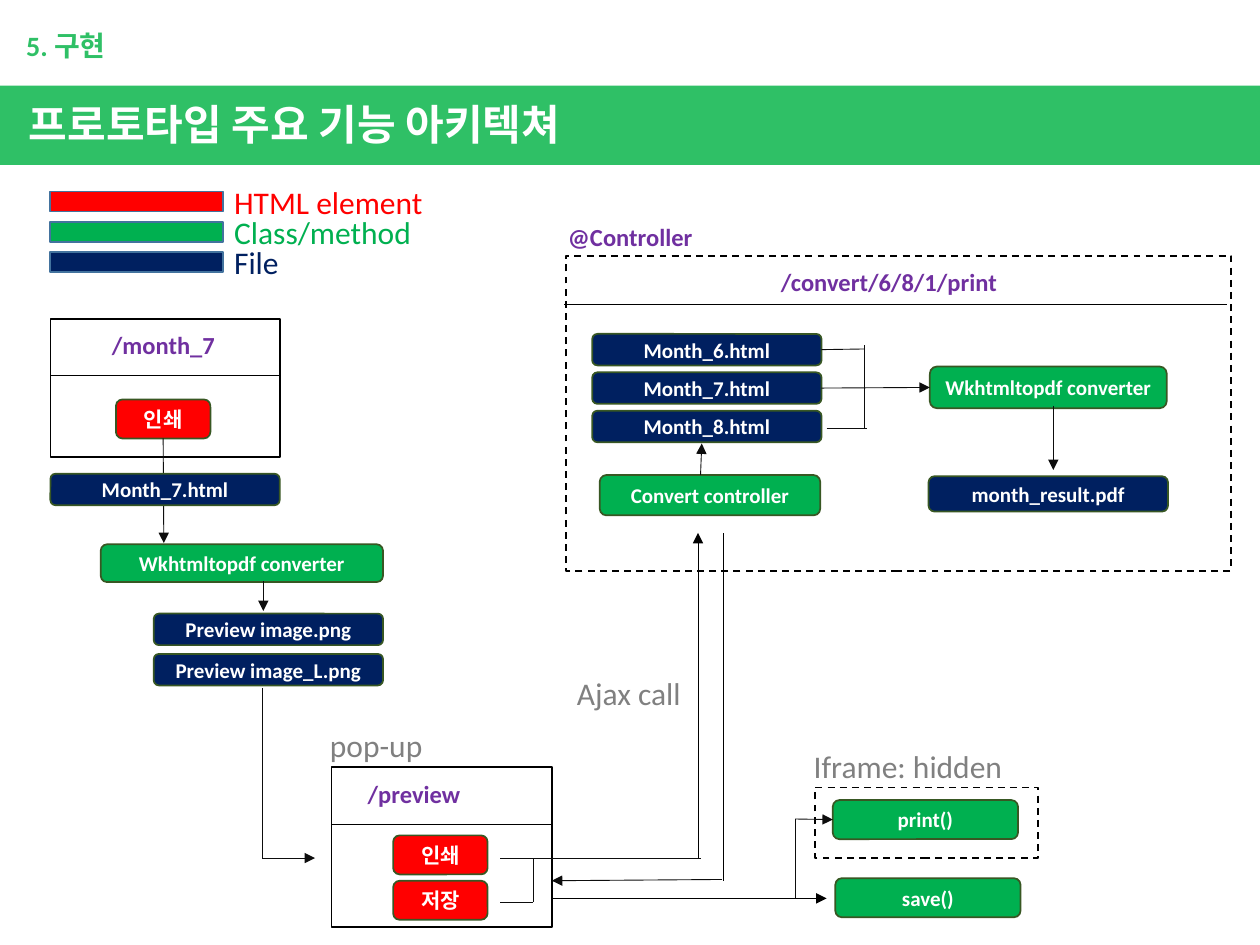
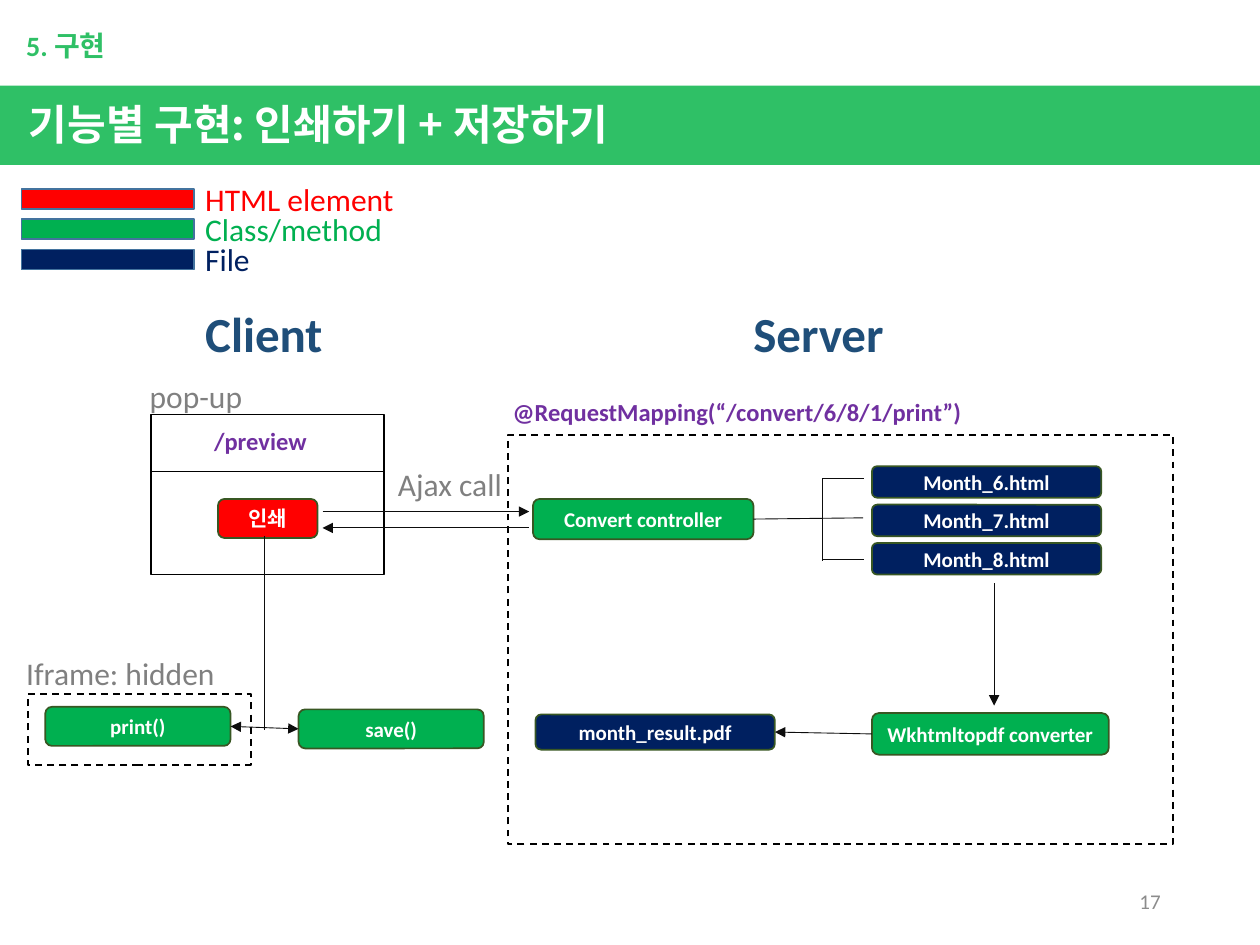
"""Build two architecture slides for the print and save features."""
import pptx
import pptx.util
import pptx.dml.color
import pptx.enum.dml
import pptx.enum.shapes
import pptx.enum.text
import pptx.oxml.ns
from lxml import etree

Inches = pptx.util.Inches
Pt = pptx.util.Pt
RGBColor = pptx.dml.color.RGBColor
MSO_SHAPE = pptx.enum.shapes.MSO_SHAPE
PP_ALIGN = pptx.enum.text.PP_ALIGN
MSO_ANCHOR = pptx.enum.text.MSO_ANCHOR
MSO_AUTO_SIZE = pptx.enum.text.MSO_AUTO_SIZE
qn = pptx.oxml.ns.qn

BRAND = RGBColor(0x2F, 0xC0, 0x66)
WHITE = RGBColor(0xFF, 0xFF, 0xFF)
BLACK = RGBColor(0, 0, 0)
INK = RGBColor(0x0D, 0x0D, 0x0D)
ELEMENT = RGBColor(0xFF, 0, 0)
METHOD = RGBColor(0, 0xB0, 0x50)
FILE = RGBColor(0, 0x20, 0x60)
NODE_EDGE = RGBColor(0x38, 0x57, 0x23)
LEGEND_EDGE = RGBColor(0x43, 0x73, 0x9E)
PURPLE = RGBColor(0x70, 0x30, 0xA0)
GRAY = RGBColor(0x80, 0x80, 0x80)
PAGE_GRAY = RGBColor(0x8C, 0x8C, 0x8C)
HEADING = RGBColor(0x1F, 0x4E, 0x79)

FONT = "Calibri"
TITLE_FONT = "Noto Sans CJK KR"
LEGEND = [("HTML element", ELEMENT, 1.72), ("Class/method", METHOD, 1.62),
          ("File", FILE, 0.57)]
MONTHS = ["Month_6.html", "Month_7.html", "Month_8.html"]
FILE_W, FILE_H = 1.82, 0.25


def write(tf, text, size, color, bold=False, align=PP_ALIGN.LEFT, name=FONT):
    """Put one formatted paragraph in a text frame."""
    p = tf.paragraphs[0]
    p.text = text
    p.alignment = align
    p.font.name = name
    p.font.size = Pt(size)
    p.font.bold = bold
    p.font.color.rgb = color


def label(s, text, x, y, w, h, size, color, bold=False, wrap=False):
    """Add a text box that fits its text."""
    tf = s.shapes.add_textbox(Inches(x), Inches(y), Inches(w), Inches(h)).text_frame
    tf.word_wrap = wrap
    tf.auto_size = MSO_AUTO_SIZE.SHAPE_TO_FIT_TEXT
    write(tf, text, size, color, bold)


def route(s, text, x, y, w, wrap=False):
    """Add a purple route name."""
    label(s, text, x, y, w, 0.34, 14, PURPLE, True, wrap)


def note(s, text, x, y, w):
    """Add a gray annotation."""
    label(s, text, x, y, w, 0.4, 18, GRAY)


def box(s, x, y, w, h, fill=WHITE, edge=BLACK, kind=MSO_SHAPE.RECTANGLE, dashed=False):
    """Add a filled shape, without an outline if edge is None."""
    sp = s.shapes.add_shape(kind, Inches(x), Inches(y), Inches(w), Inches(h))
    sp.shadow.inherit = False
    sp.fill.solid()
    sp.fill.fore_color.rgb = fill
    if edge is None:
        sp.line.fill.background()
        return sp
    sp.line.color.rgb = edge
    sp.line.width = Pt(1)
    if dashed:
        sp.line.dash_style = pptx.enum.dml.MSO_LINE.DASH
    return sp


def node(s, text, x, y, w, h, fill):
    """Add a rounded diagram node."""
    sp = box(s, x, y, w, h, fill, NODE_EDGE, MSO_SHAPE.ROUNDED_RECTANGLE)
    write(sp.text_frame, text, 12, WHITE, True, PP_ALIGN.CENTER)
    return sp


def file_node(s, text, x, y):
    """Add a node for an HTML or image file."""
    return node(s, text, x, y, FILE_W, FILE_H, FILE)


def month_files(s, x, y):
    """Stack the three month files and return their nodes."""
    return [file_node(s, name, x, y + 0.305 * i) for i, name in enumerate(MONTHS)]


def line(s, x1, y1, x2, y2, color=INK, head=False, tail=False, begin=None, end=None):
    """Add a straight line with optional arrowheads and joined ends."""
    c = s.shapes.add_connector(pptx.enum.shapes.MSO_CONNECTOR.STRAIGHT,
                               Inches(x1), Inches(y1), Inches(x2), Inches(y2))
    c.line.color.rgb = color
    c.line.width = Pt(0.5)
    ln = c.line._get_or_add_ln()
    for tag, wanted in (("a:headEnd", head), ("a:tailEnd", tail)):
        if wanted:
            etree.SubElement(ln, qn(tag), type="triangle")
    etree.SubElement(c.element.spPr, qn("a:effectLst"))
    if begin:
        c.begin_connect(*begin)
    if end:
        c.end_connect(*end)


def window(s, name, x, y, w, h, divider, name_x, name_w):
    """Add a page window with its route above a divider."""
    box(s, x, y, w, h)
    line(s, x, y + divider, x + w, y + divider, BLACK)
    route(s, name, name_x, y + 0.04, name_w)


def iframe(s, x, y):
    """Add the hidden iframe and return its print node."""
    box(s, x, y, 1.77, 0.56, dashed=True)
    note(s, "Iframe: hidden", x - 0.11, y - 0.37, 1.72)
    return node(s, "print()", x + 0.14, y + 0.1, 1.47, 0.31, METHOD)


def legend(s, x, y):
    """Add the colour key as a group."""
    g = s.shapes.add_group_shape()
    for i, (text, color, w) in enumerate(LEGEND):
        row = y + 0.24 * i
        box(g, x, row, 1.37, 0.16, color, LEGEND_EDGE)
        label(g, text, x + 1.36, row - 0.12, w, 0.4, 18, color)


def base_slide(prs, title):
    """Add a slide with the title band and section name."""
    s = prs.slides.add_slide(prs.slide_layouts[5])
    band = box(s, 0, 0.68, 10, 0.63, BRAND, None)
    sp = s.shapes.title
    band.element.addnext(sp.element)
    sp.left, sp.top, sp.width, sp.height = [Inches(v) for v in (0.13, 0.73, 7.22, 0.5)]
    tf = sp.text_frame
    tf.vertical_anchor = MSO_ANCHOR.TOP
    tf.auto_size = MSO_AUTO_SIZE.NONE
    write(tf, title, 24, WHITE, True, name=TITLE_FONT)
    label(s, "5. 구현", 0.11, 0.18, 7.22, 0.37, 16, BRAND, True, True)
    return s


def preview_flow(s):
    """Draw the path from the month page to its preview images."""
    window(s, "/month_7", 0.4, 2.53, 1.82, 1.1, 0.45, 0.79, 1.03)
    button = node(s, "인쇄", 0.92, 3.17, 0.75, 0.31, ELEMENT)
    line(s, 1.3, 3.48, 1.3, 4.31, tail=True, begin=(button, 2))
    file_node(s, "Month_7.html", 0.4, 3.76)
    node(s, "Wkhtmltopdf converter", 0.8, 4.32, 2.24, 0.3, METHOD)
    line(s, 2.09, 4.61, 2.09, 4.85, tail=True)
    file_node(s, "Preview image.png", 1.22, 4.87)
    file_node(s, "Preview image_L.png", 1.22, 5.19)
    line(s, 2.08, 5.46, 2.08, 6.81)
    line(s, 2.08, 6.81, 2.5, 6.81, tail=True)


def controller_flow(s):
    """Draw the controller that turns month files into a PDF."""
    route(s, "@Controller", 4.41, 1.71, 4.53, True)
    box(s, 4.49, 2.03, 5.28, 2.5, dashed=True)
    line(s, 4.48, 2.42, 9.74, 2.42, BLACK)
    route(s, "/convert/6/8/1/print", 6.1, 2.07, 1.93)
    months = month_files(s, 4.7, 2.65)
    converter = node(s, "Wkhtmltopdf converter", 7.38, 2.91, 1.88, 0.33, METHOD)
    node(s, "Convert controller", 4.76, 3.77, 1.75, 0.32, METHOD)
    node(s, "month_result.pdf", 7.37, 3.78, 1.9, 0.28, FILE)
    line(s, 6.52, 2.77, 6.86, 2.77, begin=(months[0], 3))
    line(s, 6.52, 3.08, 7.38, 3.08, tail=True, begin=(months[1], 3), end=(converter, 1))
    line(s, 6.56, 3.4, 6.88, 3.4)
    line(s, 6.86, 3.4, 6.86, 2.74)
    line(s, 5.56, 3.77, 5.57, 3.52, tail=True)
    line(s, 8.36, 3.22, 8.36, 3.73, tail=True)


def popup_flow(s):
    """Draw the preview pop-up with its Ajax call and results."""
    window(s, "/preview", 2.63, 6.09, 1.75, 1.27, 0.45, 2.82, 0.94)
    note(s, "pop-up", 2.52, 5.71, 0.95)
    for i, text in enumerate(["인쇄", "저장"]):
        node(s, text, 3.12, 6.63 + 0.36 * i, 0.75, 0.31, ELEMENT)
    line(s, 3.97, 7.16, 4.23, 7.16)
    line(s, 4.23, 7.16, 4.23, 6.81)
    note(s, "Ajax call", 4.48, 5.3, 1.03)
    line(s, 3.97, 6.81, 5.56, 6.81)
    line(s, 5.54, 6.81, 5.54, 4.23, BLACK, tail=True)
    line(s, 5.74, 6.99, 5.74, 4.23, BLACK)
    line(s, 4.38, 6.99, 5.73, 6.98, head=True)
    printer = iframe(s, 6.47, 6.25)
    node(s, "save()", 6.63, 6.97, 1.47, 0.31, METHOD)
    line(s, 4.38, 7.13, 6.56, 7.13, BLACK, tail=True)
    line(s, 6.31, 7.13, 6.31, 6.5)
    line(s, 6.31, 6.5, 6.62, 6.5, tail=True, end=(printer, 1))


def client_side(s):
    """Draw the pop-up, the hidden iframe and the save node."""
    label(s, "Client", 1.53, 2.36, 1.45, 0.57, 28, HEADING, True, True)
    g = s.shapes.add_group_shape()
    window(g, "/preview", 1.2, 3.29, 1.85, 1.27, 0.45, 1.6, 0.99)
    note(g, "pop-up", 1.09, 2.94, 1)
    node(g, "인쇄", 1.73, 3.96, 0.79, 0.31, ELEMENT)
    printer = iframe(s.shapes.add_group_shape(), 0.22, 5.51)
    save = node(s, "save()", 2.37, 5.63, 1.47, 0.31, METHOD)
    line(s, 2.1, 5.79, 2.1, 4.25)
    line(s, 1.82, 5.79, 2.37, 5.79, head=True, tail=True, begin=(printer, 3), end=(save, 1))


def server_side(s):
    """Draw the request mapping from the controller to the PDF."""
    label(s, "Server", 5.88, 2.36, 1.45, 0.57, 28, HEADING, True, True)
    route(s, "@RequestMapping(“/convert/6/8/1/print”)", 3.97, 3.1, 4.53, True)
    box(s, 4.03, 3.45, 5.28, 3.25, dashed=True)
    controller = node(s, "Convert controller", 4.23, 3.96, 1.75, 0.32, METHOD)
    month_files(s.shapes.add_group_shape(), 6.92, 3.7)
    pdf = node(s, "month_result.pdf", 4.25, 5.67, 1.9, 0.28, FILE)
    converter = node(s, "Wkhtmltopdf converter", 6.92, 5.66, 1.88, 0.33, METHOD)
    line(s, 5.98, 4.12, 6.85, 4.11, begin=(controller, 3))
    line(s, 6.53, 4.45, 6.53, 3.79)
    for y in (3.8, 4.44):
        line(s, 6.53, y, 6.86, y)
    line(s, 7.89, 4.63, 7.89, 5.6, tail=True)
    line(s, 6.92, 5.82, 6.15, 5.81, tail=True, begin=(converter, 1), end=(pdf, 3))


def page_number(s, text):
    """Add the page number at the lower right."""
    tf = s.shapes.add_textbox(Inches(7.06), Inches(6.95), Inches(2.25), Inches(0.4)).text_frame
    tf.word_wrap = True
    tf.vertical_anchor = MSO_ANCHOR.MIDDLE
    write(tf, text, 12, PAGE_GRAY, align=PP_ALIGN.RIGHT)


def main():
    """Build and save both slides."""
    prs = pptx.Presentation()
    prs.slide_width, prs.slide_height = Inches(10), Inches(7.5)

    s = base_slide(prs, "프로토타입 주요 기능 아키텍쳐")
    legend(s, 0.4, 1.52)
    preview_flow(s)
    controller_flow(s)
    popup_flow(s)

    s = base_slide(prs, "기능별 구현: 인쇄하기 + 저장하기")
    legend(s, 0.17, 1.5)
    client_side(s)
    server_side(s)
    note(s, "Ajax call", 3.06, 3.64, 1.03)
    line(s, 2.56, 4.06, 4.2, 4.06, tail=True)
    line(s, 2.56, 4.19, 4.2, 4.19, head=True)
    page_number(s, "17")

    prs.save("out.pptx")


if __name__ == "__main__":
    main()
